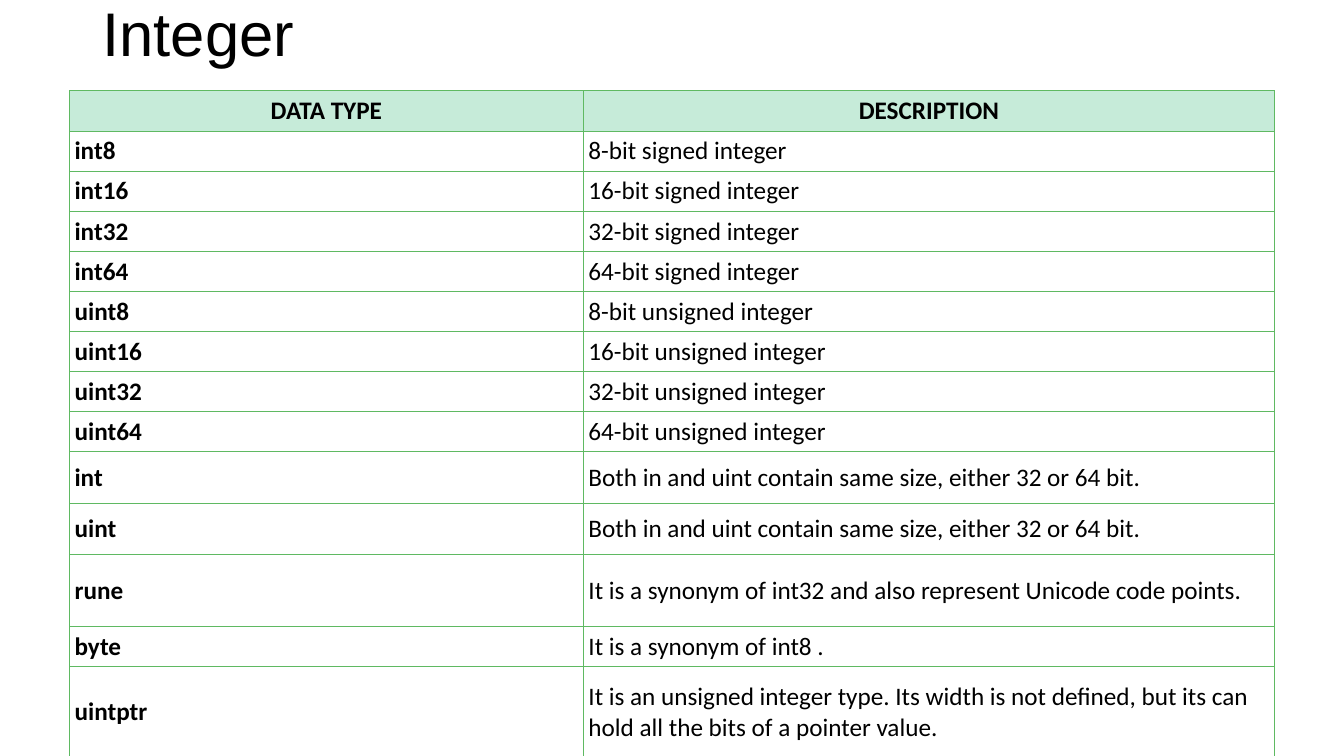
import pptx
import pptx.dml.color
import pptx.enum.text
import pptx.oxml
import pptx.oxml.ns
import pptx.util
from pptx.util import Cm

BLACK = pptx.dml.color.RGBColor(0x00, 0x00, 0x00)
WHITE = pptx.dml.color.RGBColor(0xFF, 0xFF, 0xFF)
MINT = pptx.dml.color.RGBColor(0xC6, 0xEB, 0xD9)
GREEN = pptx.dml.color.RGBColor(0x5F, 0xB9, 0x62)

LEFT = pptx.enum.text.PP_ALIGN.LEFT
CENTER = pptx.enum.text.PP_ALIGN.CENTER
TOP = pptx.enum.text.MSO_ANCHOR.TOP
MIDDLE = pptx.enum.text.MSO_ANCHOR.MIDDLE

SAME_SIZE = "Both in and uint contain same size, either 32 or 64 bit."
ROW = 1.01
SIZED_TYPES = [
    (f"{prefix}{bits}", f"{bits}-bit {sign} integer", ROW)
    for prefix, sign in (("int", "signed"), ("uint", "unsigned"))
    for bits in (8, 16, 32, 64)
]
OTHER_TYPES = [
    ("int", SAME_SIZE, 1.3),
    ("uint", SAME_SIZE, 1.3),
    ("rune", "It is a synonym of int32 and also represent Unicode code points.", 1.8),
    ("byte", "It is a synonym of int8 .", ROW),
    ("uintptr", "It is an unsigned integer type. Its width is not defined, "
                "but its can hold all the bits of a pointer value.", 2.31),
]


def write(frame, text, *, font, size, bold=False, color=BLACK, align=LEFT, spacing=1.0):
    frame.word_wrap = True
    paragraph = frame.paragraphs[0]
    paragraph.alignment = align
    paragraph.line_spacing = spacing
    run = paragraph.add_run()
    run.text = text
    run.font.name = font
    run.font.size = pptx.util.Pt(size)
    run.font.bold = bold
    run.font.color.rgb = color


def outline_cell(cell, color, width):
    """Draw all four borders; they must precede the fill in the cell properties."""
    properties = cell._tc.get_or_add_tcPr()
    for position, side in enumerate("LRTB"):
        border = pptx.oxml.parse_xml(
            f'<a:ln{side} {pptx.oxml.ns.nsdecls("a")} w="{pptx.util.Pt(width)}">'
            f'<a:solidFill><a:srgbClr val="{color}"/></a:solidFill></a:ln{side}>'
        )
        properties.insert(position, border)


class TypeSlide:
    title_font = "Arial"
    table_font = "Calibri"

    def __init__(self, deck):
        self.slide = deck.slides.add_slide(deck.slide_layouts[5])

    def title(self, text, left, top, width, height):
        heading = self.slide.shapes.title
        heading.left, heading.top = Cm(left), Cm(top)
        heading.width, heading.height = Cm(width), Cm(height)
        frame = heading.text_frame
        frame.auto_size = pptx.enum.text.MSO_AUTO_SIZE.NONE
        frame.vertical_anchor = TOP
        frame.margin_top = Cm(0.08)
        write(frame, text, font=self.title_font, size=44, spacing=0.9)

    def cell(self, cell, text, fill, **text_format):
        cell.margin_left = cell.margin_right = Cm(0.13)
        cell.margin_top, cell.margin_bottom = Cm(0.12), Cm(0.11)
        cell.vertical_anchor = MIDDLE
        cell.fill.solid()
        cell.fill.fore_color.rgb = fill
        outline_cell(cell, GREEN, 0.75)
        write(cell.text_frame, text, font=self.table_font, size=18, **text_format)

    def table(self, headings, types, left, top, widths):
        heights = [ROW] + [height for _, _, height in types]
        table = self.slide.shapes.add_table(
            len(heights), len(widths), Cm(left), Cm(top),
            Cm(sum(widths)), Cm(sum(heights)),
        ).table
        for column, width in zip(table.columns, widths):
            column.width = Cm(width)
        for row, height in zip(table.rows, heights):
            row.height = Cm(height)
        for column, heading in enumerate(headings):
            self.cell(table.cell(0, column), heading, MINT, bold=True, align=CENTER)
        for row, (data_type, description, _) in enumerate(types, start=1):
            self.cell(table.cell(row, 0), data_type, WHITE, bold=True)
            self.cell(table.cell(row, 1), description, WHITE)


def main():
    deck = pptx.Presentation()
    deck.slide_width, deck.slide_height = Cm(33.87), Cm(19.05)
    integers = TypeSlide(deck)
    integers.title("Integer", 2.33, 0, 29.21, 3.68)
    integers.table(("DATA TYPE", "DESCRIPTION"), SIZED_TYPES + OTHER_TYPES,
                   1.75, 2.29, (12.95, 17.42))
    deck.save("out.pptx")


if __name__ == "__main__":
    main()
